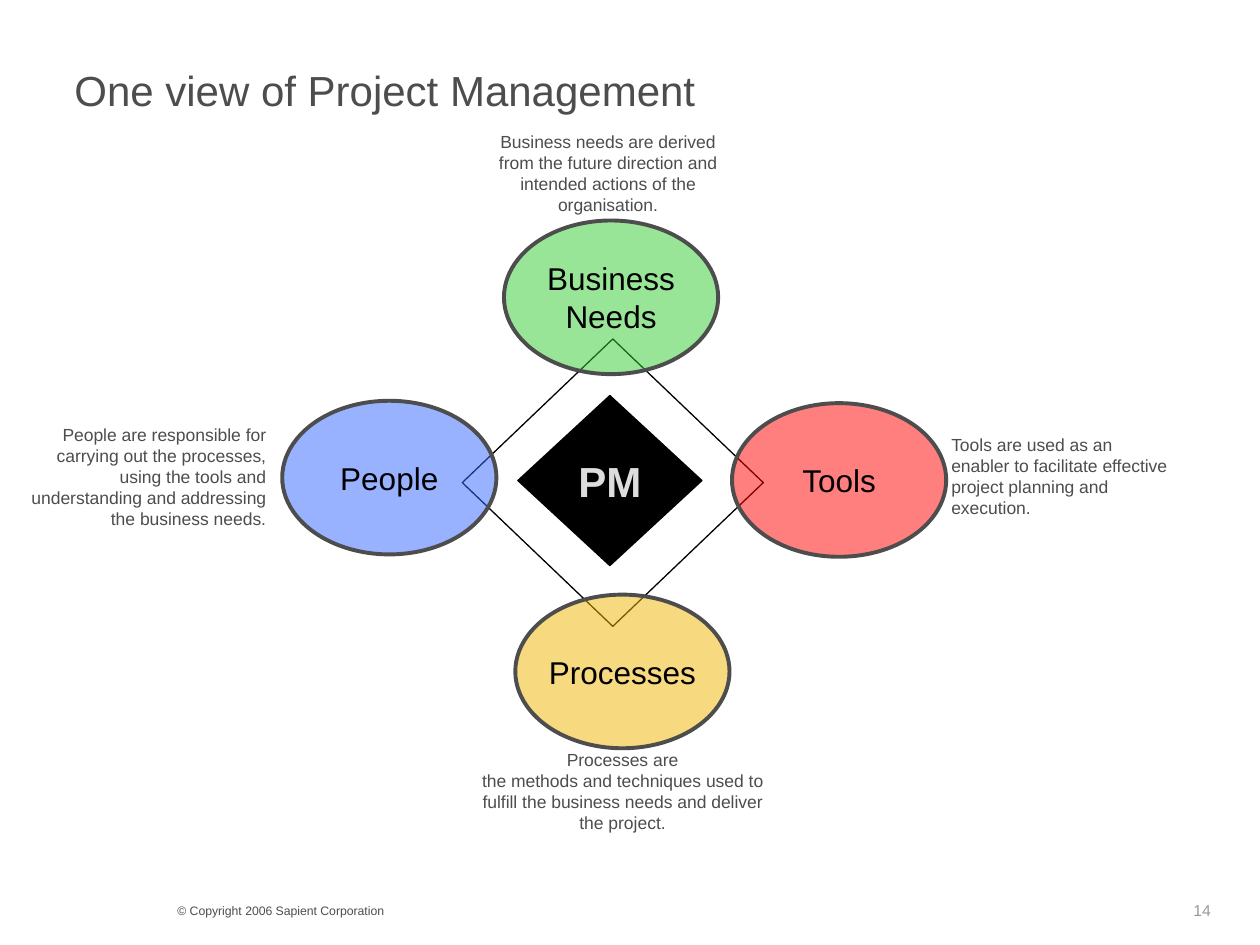
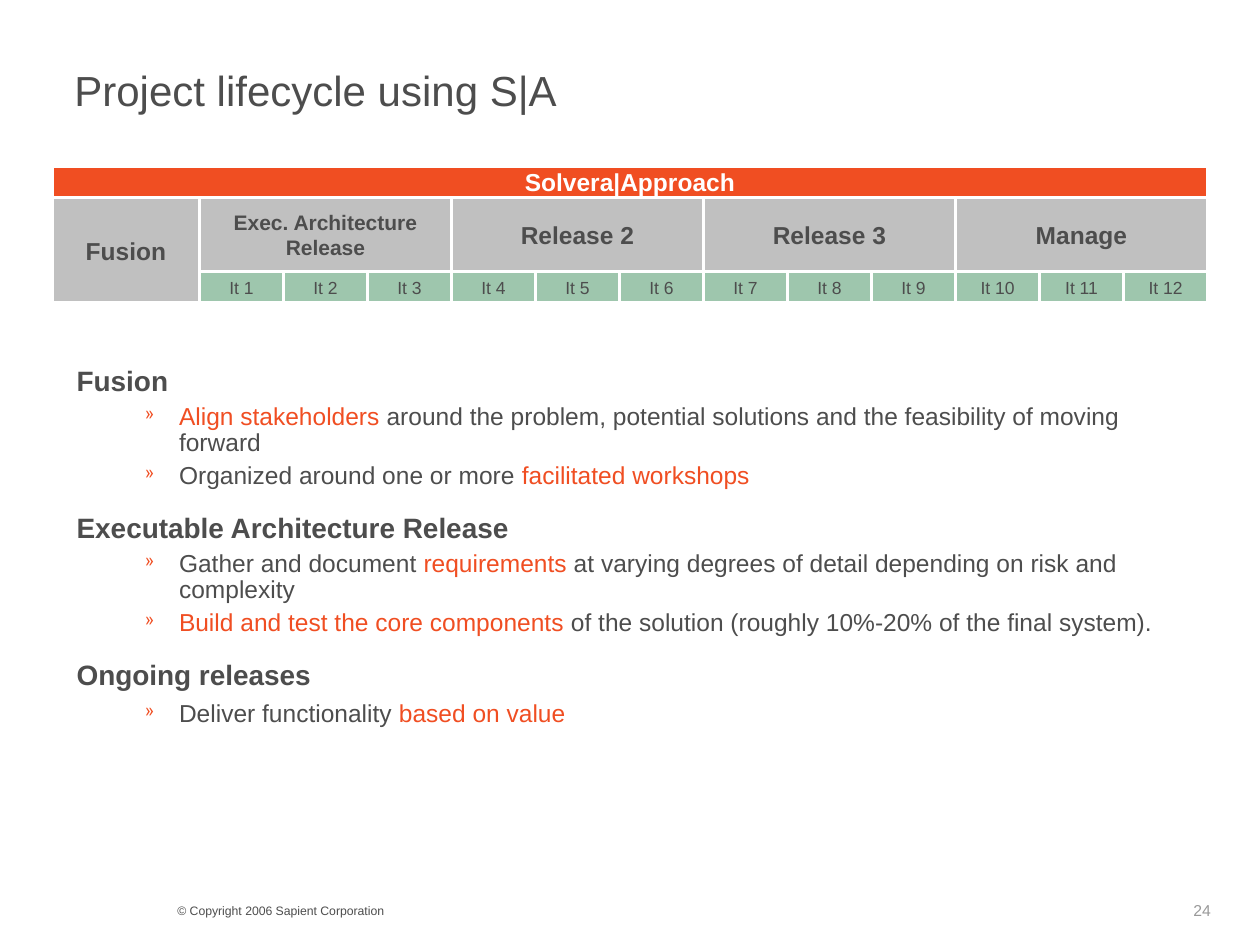
from lxml import etree
from pptx import Presentation
from pptx.dml.color import RGBColor
from pptx.enum.shapes import MSO_SHAPE
from pptx.enum.text import MSO_ANCHOR, MSO_AUTO_SIZE, PP_ALIGN
from pptx.oxml.ns import qn
from pptx.util import Pt

LEFT, CENTER, RIGHT = PP_ALIGN.LEFT, PP_ALIGN.CENTER, PP_ALIGN.RIGHT
TOP, MIDDLE = MSO_ANCHOR.TOP, MSO_ANCHOR.MIDDLE
NO_AUTOFIT = MSO_AUTO_SIZE.NONE
RECTANGLE, OVAL, DIAMOND = MSO_SHAPE.RECTANGLE, MSO_SHAPE.OVAL, MSO_SHAPE.DIAMOND
TITLE_ONLY = 5

FONT = "Arial"
GREY, BLACK, WHITE = "4D4D4D", "000000", "FFFFFF"
ORANGE, SILVER, GREEN = "F04E22", "C0C0C0", "9EC6AD"


def rgb(color):
    """Turn a hex string into a colour."""
    return RGBColor.from_string(color)


class SlideBuilder:
    """Hold the deck style and the current page."""

    def __init__(self):
        """Start an empty deck of 10 by 7.5 inches."""
        self.deck = Presentation()
        self.deck.slide_width, self.deck.slide_height = Pt(720), Pt(540)
        self.page = None

    def start_page(self, title, number):
        """Add a page with its title, copyright line and number."""
        self.page = self.deck.slides.add_slide(self.deck.slide_layouts[TITLE_ONLY])
        box = self.page.shapes.title
        box.left, box.top, box.width, box.height = Pt(35.3), Pt(31.7), Pt(648.7), Pt(39.6)
        self.fill_text(box, title, 24, align=LEFT, anchor=MIDDLE)
        self.text("© Copyright 2006 Sapient Corporation", (94.3, 512.6, 288, 16), 7)
        self.text(str(number), (675.4, 512, 44.6, 17), 9, "999999", insets=(6.5, 2.9))

    def style(self, para, size, color=GREY, bold=False, align=LEFT):
        """Set the font and alignment of a paragraph."""
        para.alignment = align
        font = para.font
        font.name, font.size, font.bold = FONT, Pt(size), bold
        font.color.rgb = rgb(color)

    def fill_text(self, box, text, size, color=GREY, bold=False, align=CENTER,
                  anchor=MIDDLE, insets=(7.2, 3.6), wrap=True):
        """Fill a box with evenly styled text, one paragraph a line."""
        frame = box.text_frame
        frame.text = text
        frame.word_wrap, frame.auto_size = wrap, NO_AUTOFIT
        frame.vertical_anchor = anchor
        frame.margin_left = frame.margin_right = Pt(insets[0])
        frame.margin_top = frame.margin_bottom = Pt(insets[1])
        for para in frame.paragraphs:
            self.style(para, size, color, bold, align)

    def text(self, text, place, size, color=GREY, align=LEFT, insets=(7.2, 3.6)):
        """Add a text box."""
        box = self.page.shapes.add_textbox(*map(Pt, place))
        self.fill_text(box, text, size, color, align=align, anchor=TOP, insets=insets)

    def shape(self, kind, place, fill, line, weight, opacity=100):
        """Add a preset shape with fill and outline."""
        shape = self.page.shapes.add_shape(kind, *map(Pt, place))
        shape.shadow.inherit = False
        shape.fill.solid()
        shape.fill.fore_color.rgb = rgb(fill)
        shape.line.color.rgb = rgb(line)
        shape.line.width = Pt(weight)
        if opacity < 100:
            tint = shape._element.spPr.find(qn("a:solidFill"))[0]
            etree.SubElement(tint, qn("a:alpha"), val=str(opacity * 1000))
        return shape

    def oval(self, label, left, top, fill):
        """Add a half-transparent labelled oval."""
        oval = self.shape(OVAL, (left, top, 122.4, 87.8), fill, GREY, 2.25, 50)
        self.fill_text(oval, label, 18, BLACK, wrap=False)

    def bar(self, label, place, fill, size, color=GREY, bold=True, insets=(7.2, 3.6)):
        """Add a labelled block of the timeline."""
        bar = self.shape(RECTANGLE, place, fill, WHITE, 1.5)
        self.fill_text(bar, label, size, color, bold, insets=insets)

    def indent(self, para, margin, hanging, bullet=None):
        """Set a hanging indent and an optional bullet."""
        props = para._p.get_or_add_pPr()
        props.set("marL", str(Pt(margin)))
        props.set("indent", str(-Pt(hanging)))
        if bullet:
            tint = etree.SubElement(props, qn("a:buClr"))
            etree.SubElement(tint, qn("a:srgbClr"), val=ORANGE)
            etree.SubElement(props, qn("a:buSzPct"), val="70000")
            etree.SubElement(props, qn("a:buChar"), char=bullet)
        else:
            etree.SubElement(props, qn("a:buNone"))

    def outline(self, sections, place):
        """Add headings with bullets, where asterisks enclose accented words."""
        frame = self.page.shapes.add_textbox(*map(Pt, place)).text_frame
        frame.word_wrap = True
        for index, (heading, bullets, spacing) in enumerate(sections):
            para = frame.add_paragraph() if index else frame.paragraphs[0]
            para.text = heading
            para.line_spacing = 0.9
            if index:
                para.space_before = Pt(14.3)
            self.indent(para, 22.5, 22.5)
            self.style(para, 16, bold=True)
            for bullet in bullets:
                para = frame.add_paragraph()
                para.level = 1
                para.line_spacing, para.space_before = spacing, Pt(3.5)
                self.indent(para, 58.5, 19.5, "»")
                self.style(para, 14)
                for part, words in enumerate(bullet.split("*")):
                    if words:
                        span = para.add_run()
                        span.text = words
                        if part % 2:
                            span.font.color.rgb = rgb(ORANGE)


def build_overview(builder):
    """Draw the four factors around project management."""
    builder.start_page("One view of Project Management", 14)
    builder.shape(DIAMOND, (264.2, 193.7, 172, 164.2), WHITE, BLACK, 0.75)
    core = builder.shape(DIAMOND, (295.9, 226, 105.2, 97.2), BLACK, BLACK, 0.75)
    builder.fill_text(core, "PM", 24, "DDDDDD", bold=True, wrap=False)

    captions = [
        ("Business needs are derived from the future direction and intended actions "
         "of the organisation.", (274.3, 70.6, 146.2, 56.2), CENTER, 7.9),
        ("People are responsible for carrying out the processes, using the tools and "
         "understanding and addressing the business needs.",
         (3.6, 238.3, 152, 68.4), RIGHT, 3.6),
        ("Processes are\nthe methods and techniques used to fulfill the business needs "
         "and deliver the project.", (265, 424.1, 181.4, 56.2), CENTER, 7.9),
        ("Tools are used as an enabler to facilitate effective project planning and "
         "execution.", (535.7, 244.1, 140.4, 56.2), LEFT, 7.9),
    ]
    for caption, place, align, inset in captions:
        builder.text(caption, place, 10, align=align, insets=(inset, 4.1))

    builder.oval("People", 161.3, 229, "3366FF")
    builder.oval("Business\nNeeds", 288, 126, "33CC33")
    builder.oval("Tools", 418.3, 230.4, "FF0000")
    builder.oval("Processes", 294.5, 339.8, "F0B500")


def build_lifecycle(builder):
    """Draw the release timeline and explain its phases."""
    builder.start_page("Project lifecycle using S|A", 24)
    left, top, row, phase_height = 30, 95, 18, 42
    fusion_width, phase_width, iterations = 84, 144, 3
    phases_left, phases_top = left + fusion_width, top + row
    step = phase_width / iterations
    phases = [("Exec. Architecture Release", 12), ("Release 2", 14),
              ("Release 3", 14), ("Manage", 14)]

    builder.outline([
        ("Fusion", [
            "*Align stakeholders* around the problem, potential solutions and the "
            "feasibility of moving forward",
            "Organized around one or more *facilitated workshops*"], 0.9),
        ("Executable Architecture Release", [
            "Gather and document *requirements* at varying degrees of detail depending "
            "on risk and complexity",
            "*Build and test the core components* of the solution (roughly 10%-20% of "
            "the final system)."], 0.9),
        ("Ongoing releases", ["Deliver functionality *based on value*"], 1.0),
    ], (36.7, 206.6, 647.3, 222.5))

    builder.bar("Solvera|Approach",
                (left, top, fusion_width + len(phases) * phase_width, row),
                ORANGE, 14, WHITE)
    builder.bar("Fusion", (left, phases_top, fusion_width, phase_height + row), SILVER, 14)
    for index, (phase, size) in enumerate(phases):
        builder.bar(phase, (phases_left + index * phase_width, phases_top,
                            phase_width, phase_height), SILVER, size)
    for index in range(len(phases) * iterations):
        builder.bar(f"It {index + 1}",
                    (phases_left + index * step, phases_top + phase_height, step, row),
                    GREEN, 10, bold=False, insets=(0, 3.6))


def main():
    """Build both pages and save the deck."""
    builder = SlideBuilder()
    build_overview(builder)
    build_lifecycle(builder)
    builder.deck.save("out.pptx")


if __name__ == "__main__":
    main()
